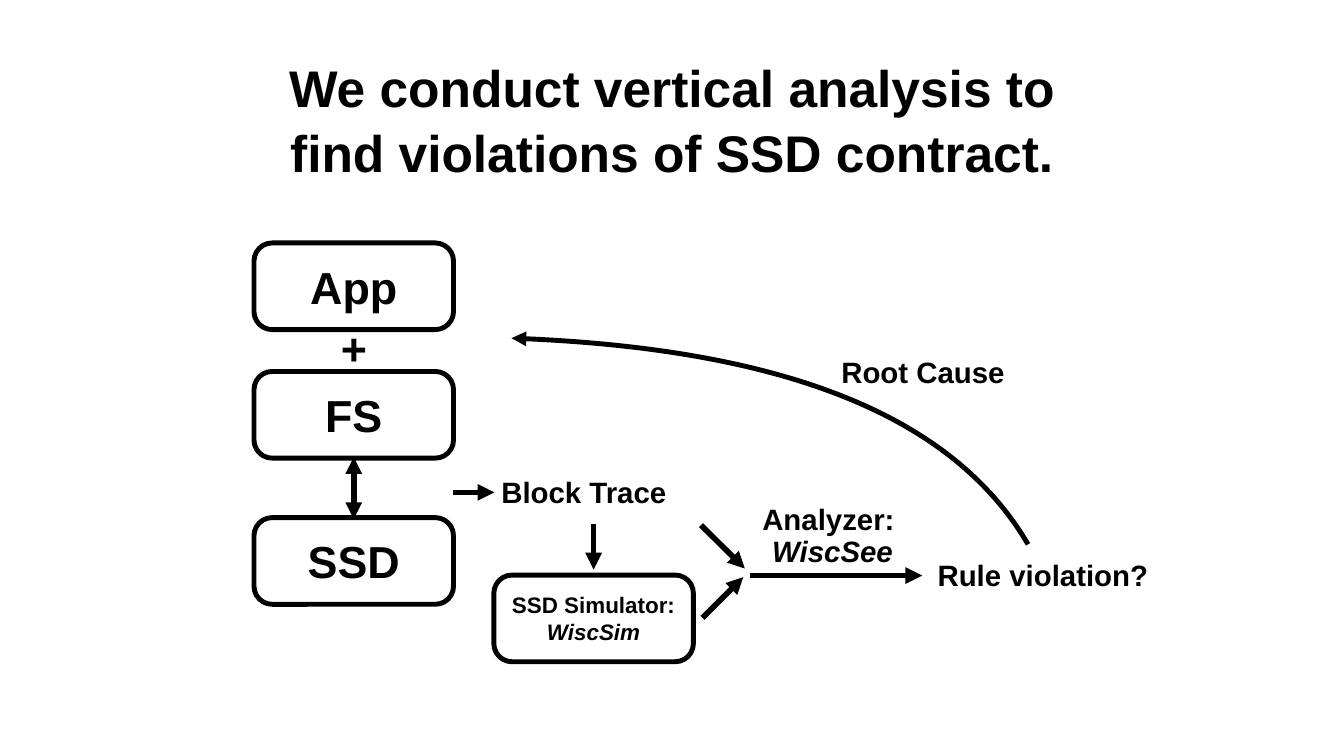
"""Build the slide on vertical analysis of SSD contract violations."""
import pptx
import pptx.dml.color
import pptx.enum.shapes
import pptx.enum.text
import pptx.oxml.ns
import pptx.util
from lxml import etree

PX = 9144
COLORS = {"ink": "000000", "paper": "FFFFFF"}
INK = pptx.dml.color.RGBColor.from_string(COLORS["ink"])
PAPER = pptx.dml.color.RGBColor.from_string(COLORS["paper"])
ANCHOR = pptx.enum.text.MSO_ANCHOR
qn = pptx.oxml.ns.qn


def write(shape, lines, size, anchor, spacing=None, wrap=True):
    frame = shape.text_frame
    frame.word_wrap = wrap
    frame.auto_size = pptx.enum.text.MSO_AUTO_SIZE.NONE
    frame.vertical_anchor = anchor
    frame.margin_left = frame.margin_right = 8 * PX
    frame.margin_top = frame.margin_bottom = 8 * PX
    for number, runs in enumerate(lines):
        paragraph = frame.add_paragraph() if number else frame.paragraphs[0]
        paragraph.alignment = pptx.enum.text.PP_ALIGN.CENTER
        paragraph.line_spacing = spacing
        paragraph.font.name = "Arial"
        paragraph.font.size = pptx.util.Pt(size)
        paragraph.font.bold = True
        paragraph.font.color.rgb = INK
        for text, italic in runs:
            run = paragraph.add_run()
            run.text = text
            if italic:
                run.font.italic = True


def draw_line(shape, width, ends=()):
    shape.line.color.rgb = INK
    shape.line.width = pptx.util.Pt(width)
    for end in ends:
        etree.SubElement(shape.line._get_or_add_ln(), qn(f"a:{end}"), type="triangle")


deck = pptx.Presentation()
deck.slide_width, deck.slide_height = 2667 * PX, 1500 * PX
slide = deck.slides.add_slide(deck.slide_layouts[5])
slide.background.fill.solid()
slide.background.fill.fore_color.rgb = PAPER

title = slide.shapes.title
title.left, title.top, title.width, title.height = (v * PX for v in (480, 68, 1707, 332))
heading = "We conduct vertical analysis to find violations of SSD contract."
write(title, [[(heading, False)]], 73.6, ANCHOR.MIDDLE, 1.05)

stages = [
    (504, 482, 64, [("App", False)]),
    (504, 737, 64, [("FS", False)]),
    (504, 1027, 64, [("SSD", False)]),
    (980, 1141, 32, [("SSD Simulator: ", False), ("WiscSim", True)]),
]
for left, top, size, runs in stages:
    stage = slide.shapes.add_shape(
        pptx.enum.shapes.MSO_SHAPE.ROUNDED_RECTANGLE,
        left * PX, top * PX, 396 * PX, 172 * PX)
    stage.adjustments[0] = 0.21
    stage.shadow.inherit = False
    stage.fill.background()
    draw_line(stage, 7)
    write(stage, [runs], size, ANCHOR.MIDDLE)

labels = [
    (668, 628, 69, 123, 64, None, [[("+", False)]]),
    (986, 934, 345, 85, 42, 0.9, [[("Block Trace", False)]]),
    (1661, 696, 341, 85, 42, 0.9, [[("Root Cause", False)]]),
    (1852, 1100, 435, 85, 42, 0.9, [[("Rule violation?", False)]]),
    (1496, 981, 312, 155, 42, 0.9, [[("Analyzer: ", False)], [("WiscSee", True)]]),
]
for left, top, width, height, size, spacing, lines in labels:
    label = slide.shapes.add_textbox(left * PX, top * PX, width * PX, height * PX)
    write(label, lines, size, ANCHOR.BOTTOM, spacing, wrap=False)

arrows = [
    (899, 977, 981, 977, ["tailEnd"]),
    (1178, 1039, 1178, 1130, ["tailEnd"]),
    (702, 907, 702, 1030, ["headEnd", "tailEnd"]),
    (1489, 1142, 1830, 1142, ["tailEnd"]),
    (1394, 1226, 1475, 1145, ["tailEnd"]),
    (1391, 1042, 1478, 1128, ["tailEnd"]),
]
for x1, y1, x2, y2, ends in arrows:
    arrow = slide.shapes.add_connector(
        pptx.enum.shapes.MSO_CONNECTOR.STRAIGHT, x1 * PX, y1 * PX, x2 * PX, y2 * PX)
    draw_line(arrow, 8, ends)
    etree.SubElement(arrow._element.spPr, qn("a:effectLst"))

outline = slide.shapes.build_freeform(2040, 1080, scale=PX)
outline.add_line_segments([(1892, 827), (1551, 690), (1015, 671)], close=False)
root_cause = outline.convert_to_shape()
segments = list(root_cause._element.iter(qn("a:lnTo")))
curve = etree.SubElement(segments[0].getparent(), qn("a:cubicBezTo"))
for segment in segments:
    curve.append(segment[0])
    segment.getparent().remove(segment)
root_cause.shadow.inherit = False
root_cause.fill.background()
draw_line(root_cause, 7, ["tailEnd"])

deck.save("out.pptx")
